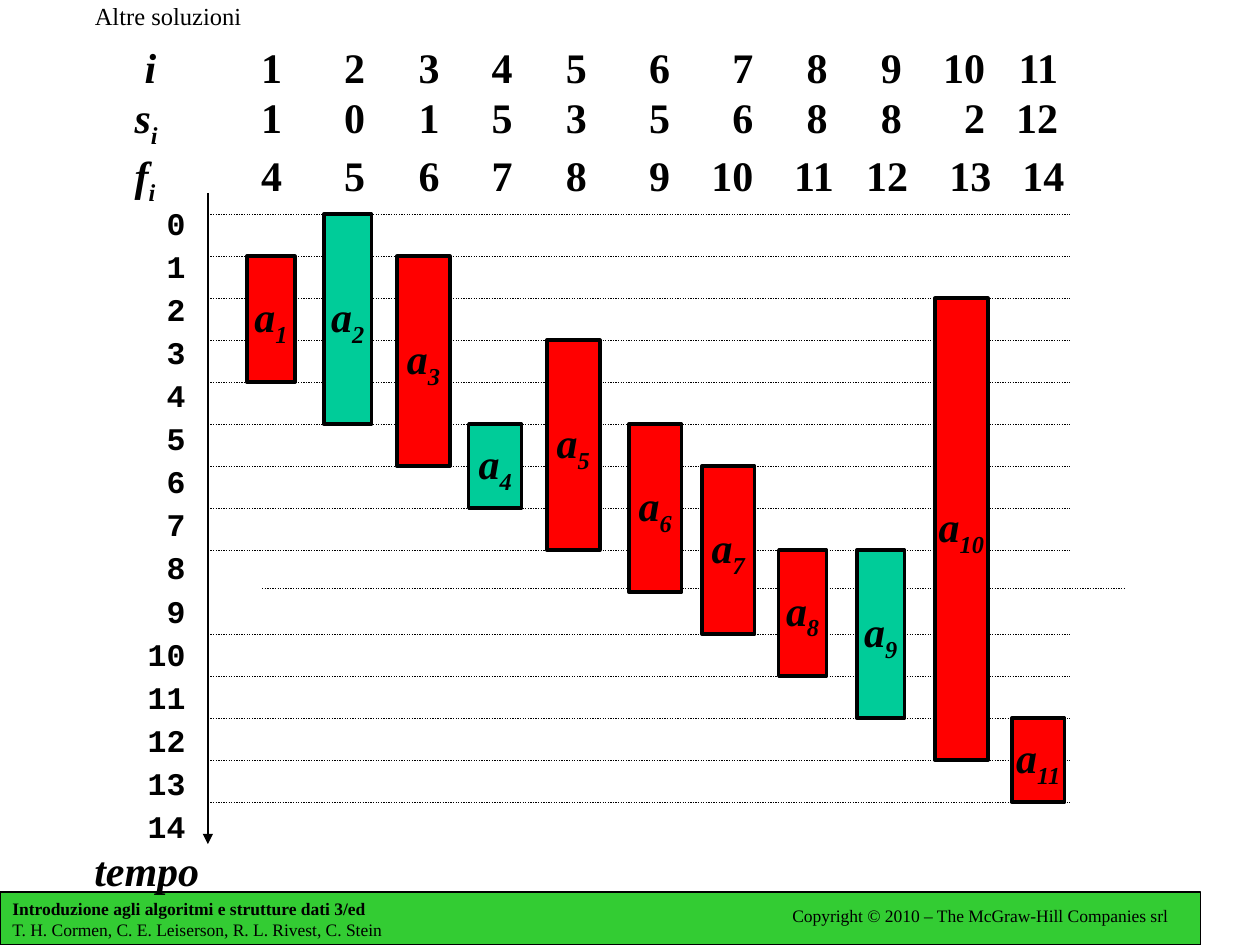
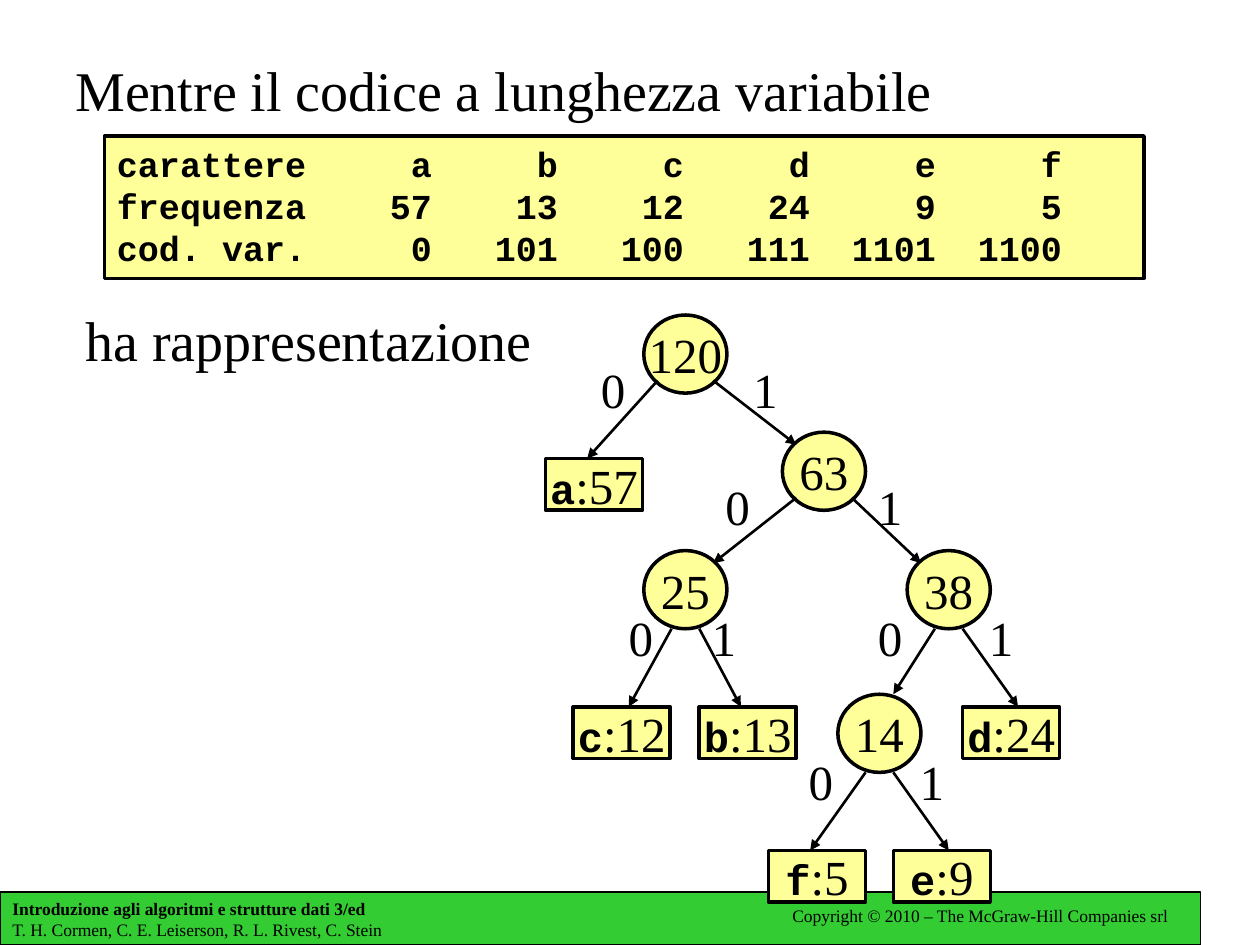
from dataclasses import dataclass
from typing import NamedTuple, Optional

from lxml import etree
from pptx import Presentation, util as u
from pptx.dml.color import RGBColor
from pptx.enum import dml, shapes, text
from pptx.oxml import ns

CELL = u.Inches(0.1)  # the slide is a grid of 100 columns by 75 rows


@dataclass(frozen=True)
class Theme:
    ink: str = "000000"
    band: str = "33CC33"
    red: str = "FF0000"
    teal: str = "00CC99"
    pale: str = "FFFF99"
    serif: str = "Times New Roman"
    mono: str = "Courier New"
    foot: int = 10
    small: int = 14
    axis: int = 18
    code: int = 20
    mark: int = 24
    node: int = 28
    head: int = 32
    thin: float = 0.75
    edge: float = 1.5
    thick: float = 2


T = Theme()


class Box(NamedTuple):
    col: float
    row: float
    wide: float
    high: float


class Run(NamedTuple):
    text: str
    bold: Optional[bool] = None
    ital: Optional[bool] = None
    sub: bool = False
    font: Optional[str] = None
    size: Optional[int] = None


class Stop(NamedTuple):
    col: float
    side: str = "r"


class Act(NamedTuple):
    num: int
    start: int
    end: int
    col: float
    wide: float
    stop: float
    pick: bool = False


class Node(NamedTuple):
    col: float
    row: float
    num: int
    char: str = ""


class Link(NamedTuple):
    top: str
    low: str
    bit: int
    out: float
    tip: float
    tag: float


# Drawing helpers

def cells(*nums: float) -> list:
    return [round(n * CELL) for n in nums]


def add(tree, tag: str, **attrs: str):
    return etree.SubElement(tree, ns.qn(tag), attrs)


def write(shape, lines: list, *, size: int, font: str = T.serif,
          bold: bool = False, ital: bool = False, align: str = "LEFT",
          anchor: str = "TOP", gap: float = 0, wrap: bool = False,
          tabs: tuple = ()) -> None:
    """Fill a shape; a line is a string or a list of runs."""
    frame = shape.text_frame
    frame.word_wrap = wrap
    frame.vertical_anchor = getattr(text.MSO_ANCHOR, anchor)
    for k, line in enumerate(lines):
        par = frame.paragraphs[0] if k == 0 else frame.add_paragraph()
        if tabs:
            stops = add(par._p.get_or_add_pPr(), "a:tabLst")
            for stop in tabs[k]:
                add(stops, "a:tab", pos=str(round(stop.col * CELL)), algn=stop.side)
        par.alignment = getattr(text.PP_ALIGN, align)
        if k and gap:
            par.space_before = u.Pt(gap)
        for item in [Run(line)] if isinstance(line, str) else line:
            run = par.add_run()
            run.text = item.text
            run.font.size = u.Pt(item.size or size)
            run.font.name = item.font or font
            run.font.bold = bold if item.bold is None else item.bold
            run.font.italic = ital if item.ital is None else item.ital
            run.font.color.rgb = RGBColor.from_string(T.ink)
            if item.sub:
                run.font._element.set("baseline", "-25000")


def label(page, box: Box, lines: list, **form) -> None:
    write(page.shapes.add_textbox(*cells(*box)), lines, **form)


def block(page, box: Box, fill: str, lines: list, *, kind: str = "RECTANGLE",
          line: float = T.thick, **form) -> None:
    shape = page.shapes.add_shape(getattr(shapes.MSO_SHAPE, kind), *cells(*box))
    shape.shadow.inherit = False
    shape.fill.solid()
    shape.fill.fore_color.rgb = RGBColor.from_string(fill)
    shape.line.color.rgb = RGBColor.from_string(T.ink)
    shape.line.width = u.Pt(line)
    write(shape, lines, **form)


def rule(page, start: tuple, end: tuple, *, line: float = T.thin,
         dots: bool = False, arrow: bool = False) -> None:
    con = page.shapes.add_connector(shapes.MSO_CONNECTOR.STRAIGHT,
                                    *cells(*start, *end))
    con.line.color.rgb = RGBColor.from_string(T.ink)
    con.line.width = u.Pt(line)
    if dots:
        con.line.dash_style = dml.MSO_LINE.ROUND_DOT
    props = con._element.spPr
    if arrow:
        add(props.find(ns.qn("a:ln")), "a:tailEnd", type="triangle")
    add(props, "a:effectLst")


def footer(page) -> None:
    block(page, Box(0, 70.8, 95.3, 4.2), T.band,
          [[Run("Introduzione agli algoritmi e strutture dati 3/ed", bold=True)],
           "T. H. Cormen, C. E. Leiserson, R. L. Rivest, C. Stein"],
          line=T.thin, size=T.foot, anchor="MIDDLE")
    label(page, Box(61.9, 71.3, 32, 2.7),
          ["Copyright © 2010 – The McGraw-Hill Companies srl"], size=T.foot)


# Slide 1: activities along a time axis

ACTS = [
    Act(1, 1, 4, 19.6, 3.8, 22.4),
    Act(2, 0, 5, 25.7, 3.8, 29, True),
    Act(3, 1, 6, 31.5, 4.2, 34.9),
    Act(4, 5, 7, 37.2, 4.2, 40.7, True),
    Act(5, 3, 8, 43.4, 4.2, 46.6),
    Act(6, 5, 9, 49.9, 4.2, 53.2),
    Act(7, 6, 10, 55.7, 4.2, 59.8),
    Act(8, 8, 11, 61.8, 3.8, 65.7),
    Act(9, 8, 12, 68, 3.8, 71.6, True),
    Act(10, 2, 13, 74.2, 4.2, 78.2),
    Act(11, 12, 14, 80.3, 4.2, 84),
]
AXIS = 16.5   # column of the time axis
LAST = 14     # latest time


def at(time: float) -> float:
    """Row of a moment on the time axis."""
    return 17 + time * 10 / 3


def chart(page) -> None:
    # Axis and dotted time lines; the line at 9 is set off
    rule(page, (AXIS, 15.3), (AXIS, 67), arrow=True)
    for time in range(LAST + 1):
        right, up = (4.3, 0.3) if time == 9 else (0, 0)
        row = at(time) - up
        rule(page, (AXIS + right, row), (AXIS + right + 68.4, row), dots=True)
    label(page, Box(10.7, 15.7, 5, 49.8), [str(n) for n in range(LAST + 1)],
          size=T.axis, font=T.mono, bold=True, align="RIGHT", gap=3, wrap=True)
    label(page, Box(6.5, 66.5, 10.3, 5), ["tempo"],
          size=T.mark, bold=True, ital=True)

    # One bar per activity
    for act in ACTS:
        block(page, Box(act.col, at(act.start), act.wide, at(act.end) - at(act.start)),
              T.teal if act.pick else T.red, [[Run("a"), Run(str(act.num), sub=True)]],
              size=T.mark, bold=True, ital=True, align="CENTER", anchor="MIDDLE")

    # Heading and the rows of values
    label(page, Box(2.5, 0, 21.7, 2.5), ["Altre soluzioni"],
          size=T.small, align="CENTER", anchor="MIDDLE", wrap=True)
    rows = [("i", "", [a.num for a in ACTS]),
            ("s", "i", [a.start for a in ACTS]),
            ("f", "i", [a.end for a in ACTS])]
    left = 9  # column where the text of the box begins
    lines, tabs = [], []
    for name, sub, nums in rows:
        line = [Run("\t" + name, ital=True)]
        if sub:
            line.append(Run(sub, ital=True, sub=True))
        lines.append(line + [Run("".join(f"\t{n}" for n in nums))])
        late = 0.5 if name == "f" else 0
        tabs.append([Stop(1.7 if sub else 2.5, "l")]
                    + [Stop(a.stop - left + (late if a.num > 7 else 0)) for a in ACTS])
    label(page, Box(8, 2.8, 84.2, 13.1), lines, size=T.mark, bold=True,
          wrap=True, tabs=tuple(tabs))


# Slide 2: variable-length code and its tree

CODES = [
    ("carattere", *"abcdef"),
    ("frequenza", 57, 13, 12, 24, 9, 5),
    ("cod. var.", 0, 101, 100, 111, 1101, 1100),
]
NODES = {
    "root": Node(54.4, 28.1, 120),
    "right": Node(65.4, 37.4, 63),
    "mid": Node(54.4, 46.8, 25),
    "far": Node(75.3, 46.8, 38),
    "deep": Node(69.8, 58.2, 14),
    "a": Node(47.15, 38.45, 57, "a"),
    "c": Node(49.35, 58.15, 12, "c"),
    "b": Node(59.35, 58.15, 13, "b"),
    "d": Node(80.25, 58.15, 24, "d"),
    "f": Node(64.85, 69.55, 5, "f"),
    "e": Node(74.75, 69.55, 9, "e"),
}
STEP = 1.1  # sideways unit of the tree, in columns
LINKS = [
    Link("root", "a", 0, -2, -0.5, -7),
    Link("root", "right", 1, 2, -2, 4),
    Link("right", "mid", 0, -2, 2, -8),
    Link("right", "far", 1, 2, -2, 3),
    Link("mid", "c", 0, -1, 0.5, -5),
    Link("mid", "b", 1, 1, -0.5, 1),
    Link("far", "deep", 0, -1, 1, -6),
    Link("far", "d", 1, 1, 0.5, 2),
    Link("deep", "f", 0, -1, -0.5, -6),
    Link("deep", "e", 1, 1, 0.5, 2),
]


def rim(node: Node, move: float, side: int) -> tuple:
    """Point on the upper (-1) or lower (1) edge of a node."""
    if node.char:
        reach = 2.05
    else:
        reach = 2.1 if abs(move) == 2 else 3.1
    return node.col + move * STEP, node.row + side * reach


def tree(page) -> None:
    # Headings and the table of codes
    label(page, Box(5, 3.9, 90, 6.3), ["Mentre il codice a lunghezza variabile"],
          size=T.head, wrap=True)
    stops = [Stop(25 + 10 * k) for k in range(6)]
    block(page, Box(8.3, 10.8, 82.5, 11.3), T.pale,
          ["\t".join(map(str, row)) for row in CODES], size=T.code, font=T.mono,
          bold=True, wrap=True, tabs=(stops,) * len(CODES))
    label(page, Box(5.8, 23.8, 39.2, 6.3), ["ha rappresentazione"],
          size=T.head, anchor="MIDDLE")

    # Nodes: circles inside the tree, boxes for the leaves
    for node in NODES.values():
        wide, high = (7.7, 4.1) if node.char else (6.6, 6.2)
        runs = [Run(str(node.num))]
        if node.char:
            runs = [Run(node.char, bold=True, font=T.mono, size=T.mark),
                    Run(f":{node.num}")]
        block(page, Box(node.col - wide / 2, node.row - high / 2, wide, high), T.pale,
              [runs], kind="RECTANGLE" if node.char else "OVAL",
              size=T.node, align="CENTER", anchor="MIDDLE")

    # Arrows with their bits
    for link in LINKS:
        top = NODES[link.top]
        start = rim(top, link.out, 1)
        rule(page, start, rim(NODES[link.low], link.tip, -1), line=T.edge, arrow=True)
        label(page, Box(top.col + link.tag * STEP, start[1] - 2.2, 4, 5.7),
              [str(link.bit)], size=T.node, anchor="MIDDLE")


def main() -> None:
    deck = Presentation()
    deck.slide_width, deck.slide_height = cells(100, 75)
    for draw in (chart, tree):
        page = deck.slides.add_slide(deck.slide_layouts[6])
        footer(page)
        draw(page)
    deck.save("out.pptx")


if __name__ == "__main__":
    main()
